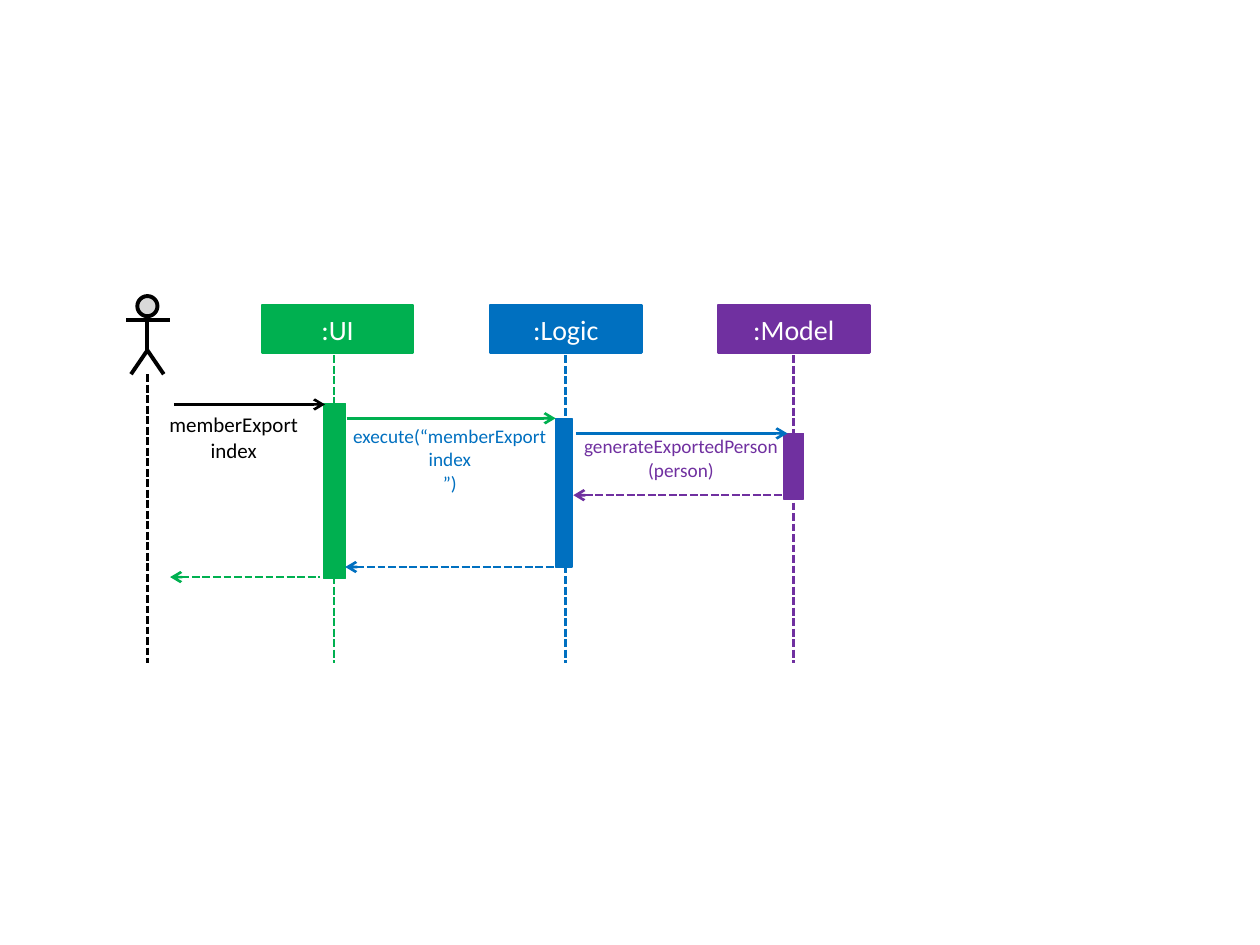
"""Build a sequence diagram of exporting a member through UI, Logic and Model."""
from dataclasses import dataclass

from pptx import Presentation
from pptx import util as u
from pptx.dml.color import RGBColor
from pptx.enum import dml, shapes, text
from pptx.oxml import parse_xml
from pptx.oxml.ns import nsdecls, qn


@dataclass(frozen=True)
class Theme:
    font: str = "Calibri"
    ink: str = "000000"
    paper: str = "FFFFFF"
    head: str = "D9D9D9"
    ui: str = "00B050"
    logic: str = "0070C0"
    model: str = "7030A0"
    title: int = 16
    command: int = 12
    call: int = 11
    thin: float = 0.75
    line: float = 1.5
    thick: float = 2.25


@dataclass(frozen=True)
class Area:
    column: float
    row: float
    columns: float
    rows: float


@dataclass(frozen=True)
class Participant:
    name: str
    color: str
    column: float
    axis: float
    bar: Area


@dataclass(frozen=True)
class Message:
    left: float
    right: float
    row: float
    color: str
    reply: bool = False


@dataclass(frozen=True)
class Label:
    lines: tuple[str, ...]
    area: Area
    color: str
    size: int


THEME = Theme()
COLUMNS, ROWS = 100, 75
WIDTH, HEIGHT = u.Inches(10), u.Inches(7.5)
ACTOR_AXIS, HEADER_ROW, LIFELINE_ROW, LIFELINE_END = 11.7, 24.2, 28.2, 52.6
HEADER_COLUMNS, HEADER_ROWS = 12, 3.8

PARTICIPANTS = (
    Participant(":UI", THEME.ui, 20.8, 26.5, Area(25.7, 32, 1.7, 13.9)),
    Participant(":Logic", THEME.logic, 38.9, 44.9, Area(44.1, 33.2, 1.3, 11.8)),
    Participant(":Model", THEME.model, 57, 63, Area(62.2, 34.4, 1.6, 5.2)),
)
MESSAGES = (
    Message(13.8, 25.8, 32.1, THEME.ink),
    Message(27.5, 44.1, 33.2, THEME.ui),
    Message(45.7, 62.5, 34.4, THEME.logic),
    Message(45.5, 62.2, 39.3, THEME.model, reply=True),
    Message(27.4, 44.1, 45, THEME.logic, reply=True),
    Message(13.5, 25.4, 45.8, THEME.ui, reply=True),
)
LABELS = (
    Label(("memberExport index",), Area(13, 32.7, 11.1, 4), THEME.ink, THEME.command),
    Label(("execute(“memberExport index", "”)"), Area(27.9, 33.7, 15.6, 5.6), THEME.logic, THEME.call),
    Label(("generateExportedPerson(person)",), Area(46.3, 34.5, 15.5, 3.7), THEME.model, THEME.call),
)


def across(columns: float) -> int:
    """Return the length of a number of grid columns."""
    return round(WIDTH * columns / COLUMNS)


def down(rows: float) -> int:
    """Return the length of a number of grid rows."""
    return round(HEIGHT * rows / ROWS)


def place(area: Area) -> tuple[int, int, int, int]:
    """Return left, top, width and height of a grid area."""
    return across(area.column), down(area.row), across(area.columns), down(area.rows)


def style_line(line, color: str, width: float) -> None:
    """Set the colour and width of a line."""
    line.color.rgb = RGBColor.from_string(color)
    line.width = u.Pt(width)


def write(frame, lines: tuple[str, ...], color: str, size: int) -> None:
    """Write centred lines into a text frame."""
    frame.text = "\n".join(lines)
    for para in frame.paragraphs:
        para.alignment = text.PP_ALIGN.CENTER
        for span in para.runs:
            span.font.name = THEME.font
            span.font.size = u.Pt(size)
            span.font.color.rgb = RGBColor.from_string(color)


def draw_shape(page, area: Area, fill: str, outline: str, width: float,
               kind=shapes.MSO_SHAPE.RECTANGLE):
    """Draw a filled preset shape without a shadow."""
    box = page.shapes.add_shape(kind, *place(area))
    box.shadow.inherit = False
    box.fill.solid()
    box.fill.fore_color.rgb = RGBColor.from_string(fill)
    style_line(box.line, outline, width)
    return box


def draw_line(page, start: tuple[float, float], end: tuple[float, float], color: str,
              width: float = THEME.line, dashed: bool = False, arrow: str = "") -> None:
    """Draw a straight line, with an arrow at headEnd or tailEnd if named."""
    connector = page.shapes.add_connector(
        shapes.MSO_CONNECTOR.STRAIGHT,
        across(start[0]), down(start[1]), across(end[0]), down(end[1]))
    style_line(connector.line, color, width)
    if dashed:
        connector.line.dash_style = dml.MSO_LINE.SQUARE_DOT
    properties = connector.element.spPr
    if arrow:
        properties.find(qn("a:ln")).append(
            parse_xml(f'<a:{arrow} {nsdecls("a")} type="arrow"/>'))
    properties.append(parse_xml(f'<a:effectLst {nsdecls("a")}/>'))


def draw_lifeline(page, axis: float, row: float, color: str) -> None:
    """Draw a dashed lifeline down to the common end."""
    draw_line(page, (axis, row), (axis, LIFELINE_END), color, dashed=True)


def draw_actor(page) -> None:
    """Draw the stick figure and its lifeline."""
    hip, foot = 27.8, 29.7
    draw_shape(page, Area(ACTOR_AXIS - 0.8, 23.5, 1.6, 1.6), THEME.head, THEME.ink,
               THEME.thick, shapes.MSO_SHAPE.FLOWCHART_CONNECTOR)
    draw_line(page, (ACTOR_AXIS, 25), (ACTOR_AXIS, hip), THEME.ink, THEME.thick)
    builder = page.shapes.build_freeform(across(ACTOR_AXIS - 1.3), down(foot))
    builder.add_line_segments(
        [(across(ACTOR_AXIS), down(hip)), (across(ACTOR_AXIS + 1.3), down(foot))], close=False)
    legs = builder.convert_to_shape()
    legs.shadow.inherit = False
    legs.fill.background()
    style_line(legs.line, THEME.ink, THEME.thick)
    draw_line(page, (10, 25.4), (13.5, 25.4), THEME.ink, THEME.thick)
    draw_lifeline(page, ACTOR_AXIS, foot, THEME.ink)


def draw_participant(page, item: Participant) -> None:
    """Draw a header, its lifeline and its activation bar."""
    header = draw_shape(page, Area(item.column, HEADER_ROW, HEADER_COLUMNS, HEADER_ROWS),
                        item.color, item.color, THEME.line)
    header.text_frame.vertical_anchor = text.MSO_ANCHOR.MIDDLE
    write(header.text_frame, (item.name,), THEME.paper, THEME.title)
    draw_lifeline(page, item.axis, LIFELINE_ROW, item.color)
    draw_shape(page, item.bar, item.color, item.color, THEME.thin)


def draw_message(page, item: Message) -> None:
    """Draw a solid call to the right or a dashed reply to the left."""
    draw_line(page, (item.left, item.row), (item.right, item.row), item.color,
              dashed=item.reply, arrow="headEnd" if item.reply else "tailEnd")


def draw_label(page, item: Label) -> None:
    """Draw the text under a message."""
    frame = page.shapes.add_textbox(*place(item.area)).text_frame
    frame.word_wrap = True
    frame.auto_size = text.MSO_AUTO_SIZE.SHAPE_TO_FIT_TEXT
    frame.margin_left = frame.margin_right = frame.margin_top = frame.margin_bottom = 0
    write(frame, item.lines, item.color, item.size)


def main() -> None:
    """Build and save the deck."""
    deck = Presentation()
    deck.slide_width, deck.slide_height = WIDTH, HEIGHT
    page = deck.slides.add_slide(deck.slide_layouts[6])
    draw_actor(page)
    for participant in PARTICIPANTS:
        draw_participant(page, participant)
    for message in MESSAGES:
        draw_message(page, message)
    for label in LABELS:
        draw_label(page, label)
    deck.save("out.pptx")


if __name__ == "__main__":
    main()
